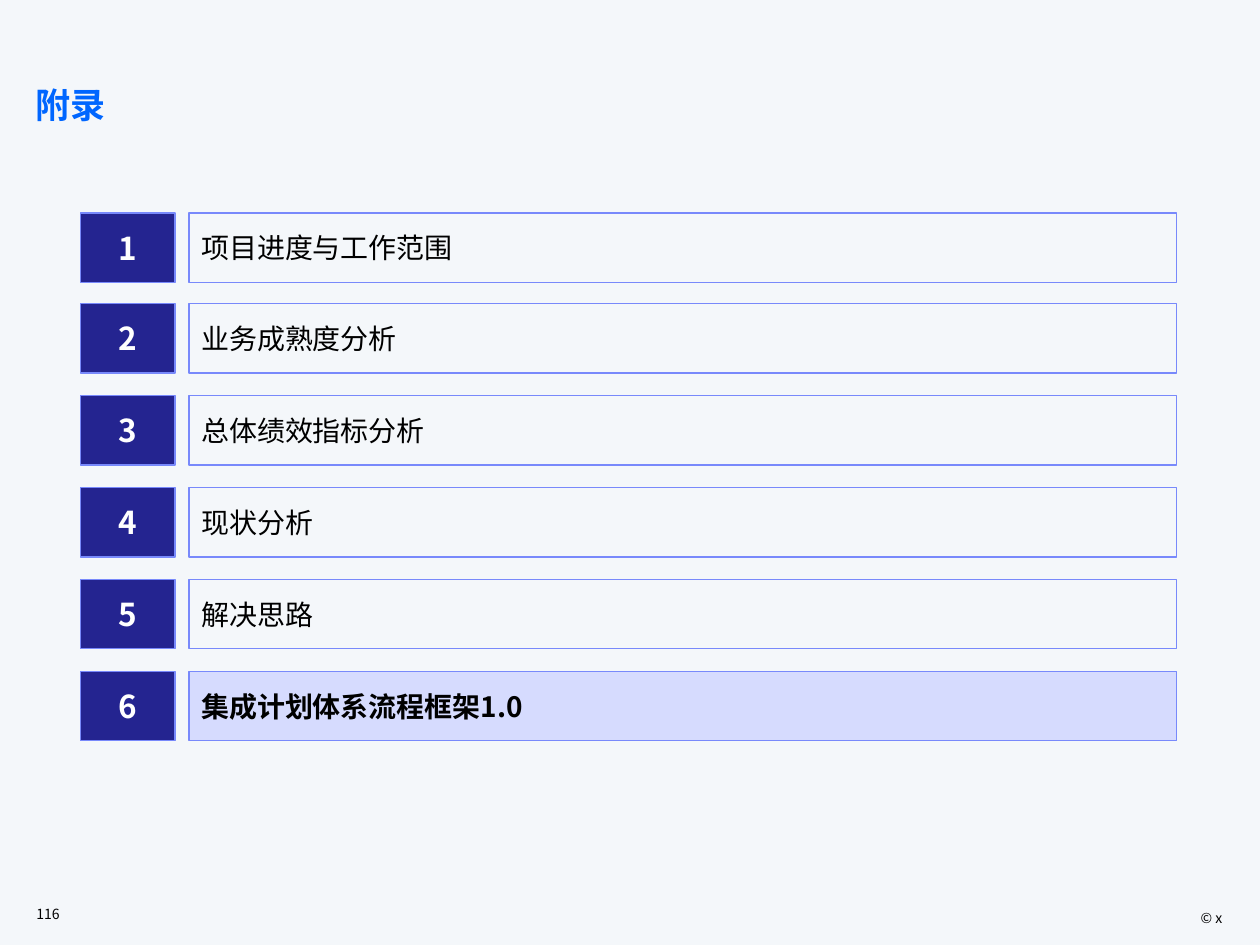
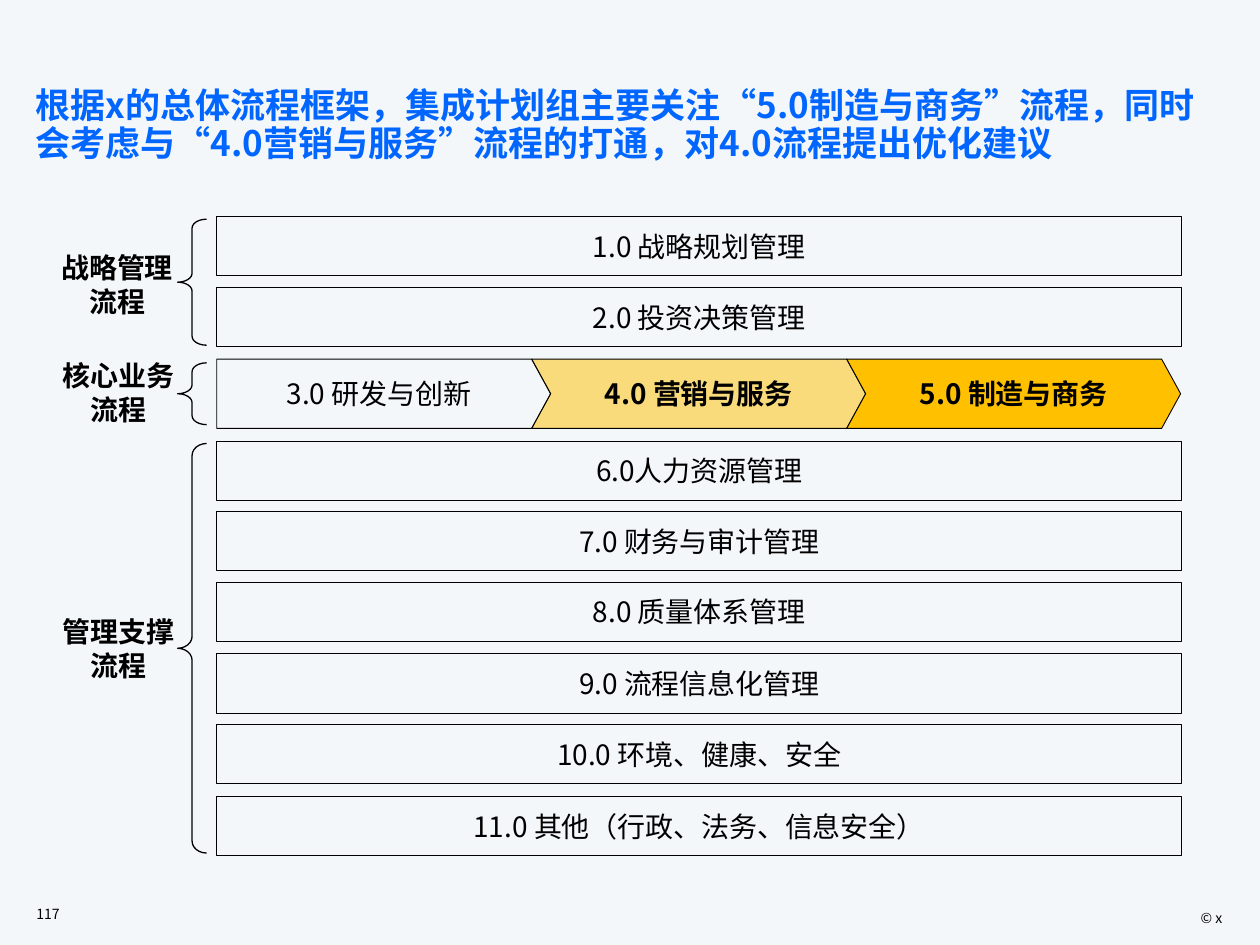
from dataclasses import dataclass
from typing import NamedTuple

import lxml.etree
import pptx
import pptx.dml.color
import pptx.enum.lang
import pptx.enum.shapes
import pptx.enum.text
import pptx.oxml.ns
import pptx.util

EMU_PER_PX = 9144
Shape = pptx.enum.shapes.MSO_SHAPE
Align = pptx.enum.text.PP_ALIGN
Anchor = pptx.enum.text.MSO_ANCHOR
qn = pptx.oxml.ns.qn


@dataclass(frozen=True)
class Theme:
    font: str = "Noto Sans CJK SC"
    background: str = "F4F7FA"
    title: str = "0066FF"
    ink: str = "000000"
    paper: str = "FFFFFF"
    number_fill: str = "242490"
    agenda_line: str = "7889FB"
    current_fill: str = "D6DBFE"
    accent: str = "FFC000"
    title_size: int = 20
    number_size: int = 18
    body_size: int = 16
    footer_size: int = 8
    thin: float = 0.5
    medium: float = 0.75


THEME = Theme()


class Area(NamedTuple):
    left: int
    top: int
    width: int
    height: int

    def emu(self) -> list[pptx.util.Emu]:
        return [pptx.util.Emu(length * EMU_PER_PX) for length in self]


class TextStyle(NamedTuple):
    size: int = THEME.body_size
    color: str = THEME.ink
    bold: bool = False
    align: Align = Align.CENTER
    hanging: int = 0


class BoxStyle(NamedTuple):
    line: str = THEME.ink
    weight: float = THEME.thin
    fill: str | None = None
    opacity: int = 100
    wrap: bool = True


class Stage(NamedTuple):
    text: str
    kind: Shape
    style: BoxStyle
    text_style: TextStyle


class ProcessGroup(NamedTuple):
    label_area: Area
    label: tuple[str, str]
    brace_area: Area
    brace_curve: float


TITLE_AREA = Area(18, 65, 965, 76)
NUMBER_AREA = Area(19, 713, 70, 24)
COPYRIGHT_AREA = Area(830, 717, 150, 20)

TITLE_TEXT = TextStyle(THEME.title_size, THEME.title, True, Align.LEFT)
FOOTER_TEXT = TextStyle(THEME.footer_size, align=Align.LEFT)
AGENDA_NUMBER_TEXT = TextStyle(THEME.number_size, THEME.paper, True)
AGENDA_TEXT = TextStyle(align=Align.LEFT)
BAR_TEXT = TextStyle(hanging=13)
FOCUS_TEXT = BAR_TEXT._replace(bold=True)

AGENDA_BOX = BoxStyle(THEME.agenda_line, THEME.medium, wrap=False)
BAR_BOX = BoxStyle()
BRACE_BOX = BoxStyle(weight=THEME.medium)

AGENDA = (
    "项目进度与工作范围",
    "业务成熟度分析",
    "总体绩效指标分析",
    "现状分析",
    "解决思路",
    "集成计划体系流程框架1.0",
)
CURRENT_TOPIC = 5

STRATEGY_BARS = ("1.0 战略规划管理", "2.0 投资决策管理")
SUPPORT_BARS = (
    "6.0人力资源管理",
    "7.0 财务与审计管理",
    "8.0 质量体系管理",
    "9.0 流程信息化管理",
    "10.0 环境、健康、安全",
    "11.0 其他（行政、法务、信息安全）",
)
CORE_STAGES = (
    Stage("3.0 研发与创新", Shape.PENTAGON, BAR_BOX, TextStyle()),
    Stage("4.0 营销与服务", Shape.CHEVRON,
          BoxStyle(fill=THEME.accent, opacity=50), FOCUS_TEXT),
    Stage("5.0 制造与商务", Shape.CHEVRON, BoxStyle(fill=THEME.accent), FOCUS_TEXT),
)
PROCESS_GROUPS = (
    ProcessGroup(Area(38, 194, 110, 64), ("战略管理", "流程"),
                 Area(141, 174, 23, 100), 0.306),
    ProcessGroup(Area(39, 280, 110, 64), ("核心业务", "流程"),
                 Area(141, 288, 23, 49), 0.306),
    ProcessGroup(Area(39, 483, 110, 64), ("管理支撑", "流程"),
                 Area(141, 352, 23, 325), 0.412),
)


def rgb(color: str) -> pptx.dml.color.RGBColor:
    return pptx.dml.color.RGBColor.from_string(color)


def spread(first: int, last: int, count: int) -> list[int]:
    return [first + (last - first) * index // (count - 1) for index in range(count)]


def write(frame, lines: tuple[str, ...], style: TextStyle) -> None:
    for index, line in enumerate(lines):
        para = frame.add_paragraph() if index else frame.paragraphs[0]
        para.alignment = style.align
        if style.hanging:
            properties = para._p.get_or_add_pPr()
            properties.set("marL", str(style.hanging * EMU_PER_PX))
            properties.set("indent", str(-style.hanging * EMU_PER_PX))
        span = para.add_run()
        span.text = line
        span.font.name = THEME.font
        span.font.size = pptx.util.Pt(style.size)
        span.font.bold = style.bold
        span.font.color.rgb = rgb(style.color)
        span.font.language_id = pptx.enum.lang.MSO_LANGUAGE_ID.SIMPLIFIED_CHINESE
        latin = span._r.get_or_add_rPr().find(qn("a:latin"))
        east_asian = lxml.etree.Element(qn("a:ea"), typeface=THEME.font)
        latin.addnext(east_asian)


def add_box(page, area: Area, style: BoxStyle, kind: Shape = Shape.RECTANGLE,
            text: str = "", text_style: TextStyle = BAR_TEXT):
    box = page.shapes.add_shape(kind, *area.emu())
    box.shadow.inherit = False
    box.line.color.rgb = rgb(style.line)
    box.line.width = pptx.util.Pt(style.weight)
    if style.fill is None:
        box.fill.background()
    else:
        box.fill.solid()
        box.fill.fore_color.rgb = rgb(style.fill)
        if style.opacity < 100:
            color = box._element.spPr.find(qn("a:solidFill"))[0]
            lxml.etree.SubElement(color, qn("a:alpha"), val=str(style.opacity * 1000))
    if text:
        box.text_frame.word_wrap = style.wrap
        box.text_frame.vertical_anchor = Anchor.MIDDLE
        write(box.text_frame, (text,), text_style)
    return box


def add_label(page, area: Area, lines: tuple[str, ...], style: TextStyle,
              anchor: Anchor = Anchor.TOP, wrap: bool = True) -> None:
    frame = page.shapes.add_textbox(*area.emu()).text_frame
    frame.word_wrap = wrap
    frame.vertical_anchor = anchor
    write(frame, lines, style)


def add_page(deck, title: str, number: int):
    page = deck.slides.add_slide(deck.slide_layouts.get_by_name("Title Only"))
    heading = page.shapes.title
    heading.left, heading.top, heading.width, heading.height = TITLE_AREA.emu()
    frame = heading.text_frame
    frame.auto_size = pptx.enum.text.MSO_AUTO_SIZE.NONE
    frame.word_wrap = True
    frame.vertical_anchor = Anchor.TOP
    write(frame, (title,), TITLE_TEXT)
    frame.paragraphs[0].line_spacing = 0.9
    add_label(page, COPYRIGHT_AREA, ("© x",), FOOTER_TEXT._replace(align=Align.RIGHT))
    add_label(page, NUMBER_AREA, (str(number),), FOOTER_TEXT, Anchor.MIDDLE)
    return page


def add_agenda(page) -> None:
    number_box = AGENDA_BOX._replace(fill=THEME.number_fill)
    for index, top in enumerate(spread(169, 533, len(AGENDA))):
        current = index == CURRENT_TOPIC
        topic_box = AGENDA_BOX._replace(fill=THEME.current_fill if current else None)
        add_box(page, Area(64, top, 75, 55), number_box,
                text=str(index + 1), text_style=AGENDA_NUMBER_TEXT)
        add_box(page, Area(150, top, 784, 55), topic_box,
                text=AGENDA[index], text_style=AGENDA_TEXT._replace(bold=current))


def add_bars(page, texts: tuple[str, ...], first: int, last: int) -> None:
    for text, top in zip(texts, spread(first, last, len(texts))):
        add_box(page, Area(172, top, 766, 47), BAR_BOX, text=text)


def add_core_stages(page) -> None:
    for stage, left in zip(CORE_STAGES, spread(172, 672, len(CORE_STAGES))):
        arrow = add_box(page, Area(left, 285, 265, 55), stage.style, stage.kind,
                        stage.text, stage.text_style)
        arrow.adjustments[0] = 0.274


def add_process_group(page, group: ProcessGroup) -> None:
    brace = add_box(page, group.brace_area, BRACE_BOX, Shape.LEFT_BRACE)
    brace.adjustments[0] = group.brace_curve
    brace.adjustments[1] = 0.5
    add_label(page, group.label_area, group.label, TextStyle(bold=True), wrap=False)


def main() -> None:
    deck = pptx.Presentation()
    deck.slide_width = pptx.util.Emu(1000 * EMU_PER_PX)
    deck.slide_height = pptx.util.Emu(750 * EMU_PER_PX)
    backdrop = deck.slide_master.background.fill
    backdrop.solid()
    backdrop.fore_color.rgb = rgb(THEME.background)

    add_agenda(add_page(deck, "附录", 116))

    framework = add_page(
        deck,
        "根据x的总体流程框架，集成计划组主要关注“5.0制造与商务”流程，"
        "同时会考虑与“4.0营销与服务”流程的打通，对4.0流程提出优化建议",
        117,
    )
    add_bars(framework, STRATEGY_BARS, 172, 228)
    add_core_stages(framework)
    add_bars(framework, SUPPORT_BARS, 350, 632)
    for group in PROCESS_GROUPS:
        add_process_group(framework, group)

    deck.save("out.pptx")


if __name__ == "__main__":
    main()
